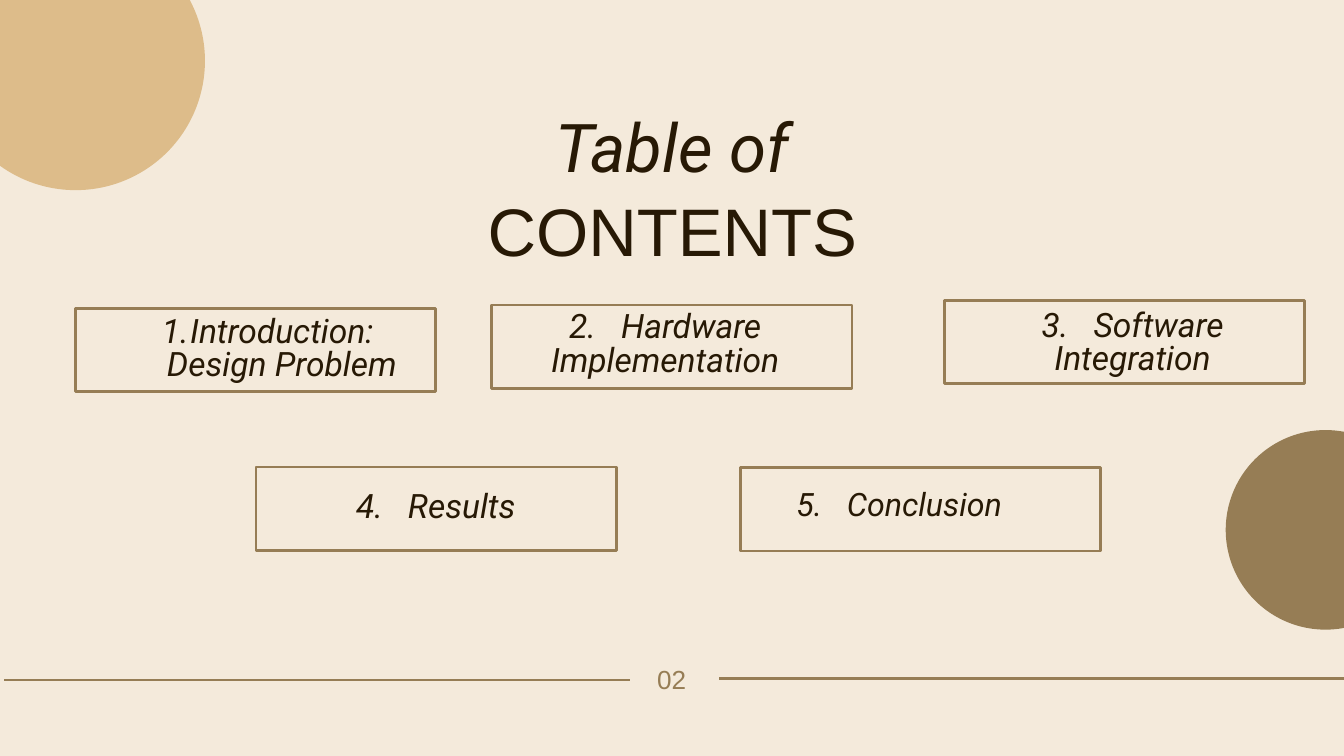
"""Build the table of contents slide."""
from lxml.etree import SubElement
from pptx import Presentation
from pptx.dml.color import RGBColor
from pptx.enum.shapes import MSO_CONNECTOR as Connector, MSO_SHAPE as Shape
from pptx.enum.text import MSO_ANCHOR as Anchor, MSO_AUTO_SIZE as AutoSize, PP_ALIGN as Align
from pptx.oxml.ns import qn
from pptx.util import Inches, Pt

COLORS = {"page": "F4EADB", "brown": "967D55", "sand": "DDBC8A", "ink": "271905"}
BOX_SIZE = (5.36, 1.24)
NUMBER_GAP = 18


def color(name):
    """Return a named colour."""
    return RGBColor.from_string(COLORS[name])


def place(shape, left, top, width, height):
    """Move and size a shape, in inches."""
    shape.left, shape.top = Inches(left), Inches(top)
    shape.width, shape.height = Inches(width), Inches(height)


def add_text(holder, area, parts, size, font="Roboto", ink="ink", spacing=None):
    """Fill a text holder with one centred paragraph and return the paragraph."""
    place(holder, *area)
    frame = holder.text_frame
    frame.word_wrap = True
    frame.auto_size = AutoSize.SHAPE_TO_FIT_TEXT
    frame.vertical_anchor = Anchor.TOP
    frame.margin_left = frame.margin_right = frame.margin_top = frame.margin_bottom = 0
    paragraph = frame.paragraphs[0]
    paragraph.alignment = Align.CENTER
    paragraph.line_spacing = Pt(spacing or size)
    paragraph.space_before = Pt(0)
    for part in parts:
        run = paragraph.add_run()
        run.text = part
        run.font.name = font
        run.font.size = Pt(size)
        run.font.italic = font == "Roboto"
        run.font.color.rgb = color(ink)
        if part == " ":
            run.font._element.set("spc", str(NUMBER_GAP * 100))
    return paragraph


def add_textbox(slide, area, *args, **options):
    """Add a text box with one centred paragraph."""
    box = slide.shapes.add_textbox(0, 0, 0, 0)
    return add_text(box, area, *args, **options)


def add_circle(slide, left, top, diameter, fill):
    """Add a plain decorative circle."""
    circle = slide.shapes.add_shape(
        Shape.OVAL, Inches(left), Inches(top), Inches(diameter), Inches(diameter))
    circle.shadow.inherit = False
    circle.fill.solid()
    circle.fill.fore_color.rgb = color(fill)
    circle.line.fill.background()


def add_rule(slide, start, end, y):
    """Add a horizontal footer rule."""
    rule = slide.shapes.add_connector(
        Connector.STRAIGHT, Inches(start), Inches(y), Inches(end), Inches(y))
    rule.line.color.rgb = color("brown")
    rule.line.width = Pt(3)
    SubElement(rule._element.spPr, qn("a:effectLst"))


def add_frame(slide, left, top):
    """Add the outlined frame of a contents entry."""
    frame = slide.shapes.add_shape(
        Shape.RECTANGLE, Inches(left), Inches(top), *map(Inches, BOX_SIZE))
    frame.shadow.inherit = False
    frame.fill.background()
    frame.line.color.rgb = color("brown")
    frame.line.width = Pt(3)


def number_paragraph(paragraph, margin, indent):
    """Turn a paragraph into an automatically numbered one."""
    paragraph.level = 1
    properties = paragraph._p.get_or_add_pPr()
    properties.set("marL", str(Inches(margin)))
    properties.set("indent", str(Inches(indent)))
    SubElement(properties, qn("a:buAutoNum"), type="arabicPeriod")


def main():
    """Build and save the slide."""
    deck = Presentation()
    deck.slide_width, deck.slide_height = Inches(20), Inches(11.25)
    slide = deck.slides.add_slide(deck.slide_layouts[5])
    slide.background.fill.solid()
    slide.background.fill.fore_color.rgb = color("page")

    add_rule(slide, 10.7, 20, 10.1)
    add_textbox(slide, (9.07, 9.95, 1.85, 0.41), ["02"], 28, font="Arial", ink="brown")
    add_rule(slide, 0.06, 9.37, 10.12)
    add_circle(slide, 18.24, 6.4, 2.97, "brown")
    add_circle(slide, -0.8, -1.02, 3.85, "sand")

    add_textbox(slide, (4.72, 1.57, 10.57, 1.27), ["Table of"], 72, spacing=86.4)
    add_text(slide.shapes.title, (4.72, 2.82, 10.57, 1.21), ["CONTENTS"], 72,
             font="Arial", spacing=86.4)

    add_frame(slide, 1.12, 4.59)
    introduction = add_textbox(
        slide, (1.58, 4.71, 4.38, 1.07), ["Introduction: Design Problem"], 36)
    number_paragraph(introduction, 0.85, -0.42)

    entries = [
        ("Hardware Implementation", (7.32, 4.54), (7.7, 4.64, 4.4, 1.07), 36),
        ("Software Integration", (14.05, 4.47), (14.57, 4.62, 4.57, 1.07), 36),
        ("Results", (3.81, 6.95), (4.65, 7.31, 3.67, 0.57), 36),
        ("Conclusion", (11.02, 6.96), (11.62, 7.31, 3.52, 0.54), 34.5),
    ]
    for number, (topic, corner, area, size) in enumerate(entries, start=2):
        add_frame(slide, *corner)
        add_textbox(slide, area, [f"{number}.", " ", topic], size)

    deck.save("out.pptx")


if __name__ == "__main__":
    main()
